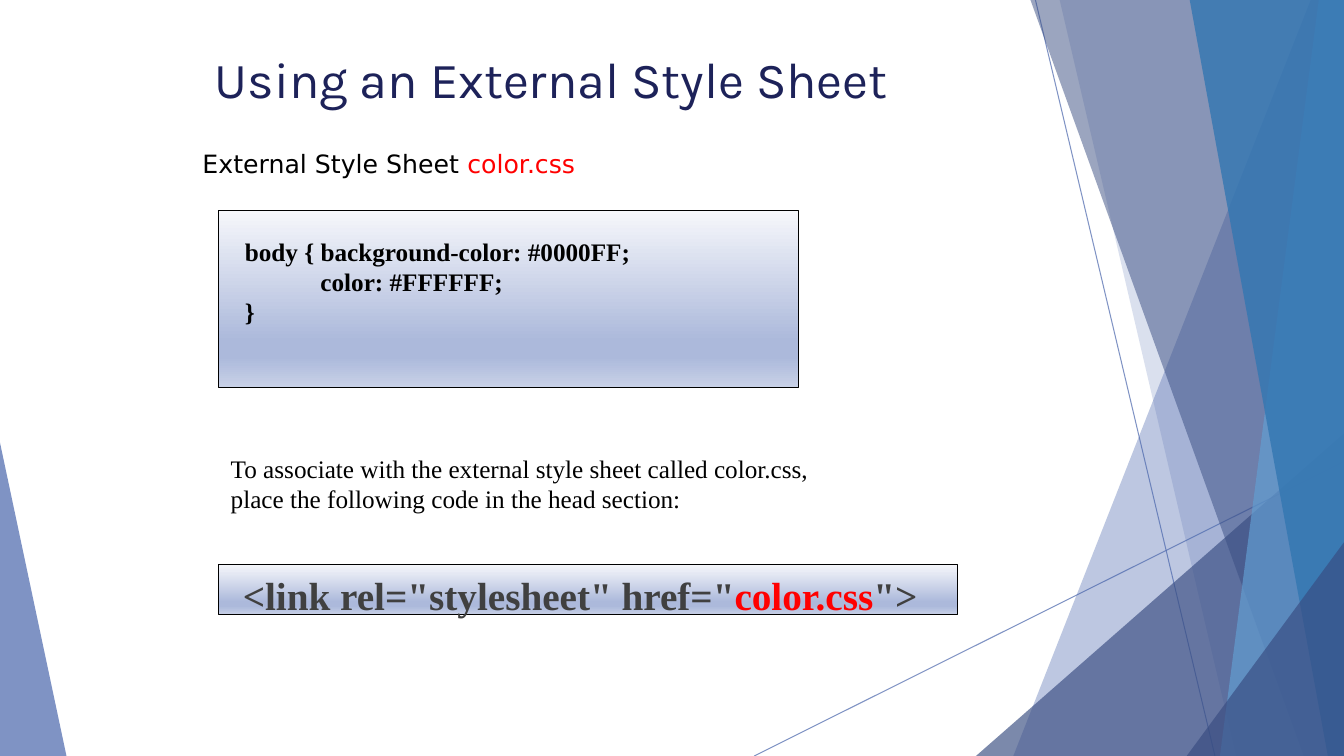
from lxml.etree import SubElement
from pptx import Presentation
from pptx.dml.color import RGBColor
from pptx.enum.shapes import MSO_CONNECTOR as Connector, MSO_SHAPE as Preset
from pptx.enum.text import MSO_ANCHOR as Anchor, MSO_AUTO_SIZE as AutoSize, PP_ALIGN as Align
from pptx.oxml.ns import qn
from pptx.util import Pt

EMU_PER_PX = 9144
WIDTH, HEIGHT = 1333, 750
SERIF = "Times New Roman"
BLUE, NAVY, SKY, AZURE = "4A66AC", "384C81", "629DD1", "3477B2"
BLACK, GREY, RED, TITLE_COLOR = "000000", "404040", "FF0000", "1D2259"
PANEL_STOPS = [(0, "F6F7FB"), (74, "ACB9DB"), (83, "ACB9DB"), (100, "C8D1E7")]


def px(*lengths):
    return [length * EMU_PER_PX for length in lengths]


def color(hex_text):
    return RGBColor.from_string(hex_text)


def set_opacity(element, percent):
    for node in element.iter(qn("a:srgbClr")):
        SubElement(node, qn("a:alpha"), val=str(percent * 1000))


def write_text(frame, lines, *, size, font, fill=BLACK, bold=False, indents=(),
               anchor=Anchor.TOP):
    """Each line is a list of (text, colour or None) runs; "\\n" breaks the line."""
    frame.word_wrap = True
    frame.auto_size = AutoSize.NONE
    frame.vertical_anchor = anchor
    for index, runs in enumerate(lines):
        paragraph = frame.paragraphs[0] if index == 0 else frame.add_paragraph()
        paragraph.alignment = Align.LEFT
        if index < len(indents):
            properties = paragraph._p.get_or_add_pPr()
            properties.set("marL", str(indents[index] * EMU_PER_PX))
        for text, run_color in runs:
            if text == "\n":
                paragraph.add_line_break()
                continue
            run = paragraph.add_run()
            run.text = text
            run.font.size = Pt(size)
            run.font.name = font
            run.font.bold = bold
            run.font.color.rgb = color(run_color or fill)


class SlideBuilder:
    def __init__(self, slide):
        self.slide = slide
        self.shapes = slide.shapes
        self.line_width = Pt(0.75)

    def title(self, text, box, **style):
        shape = self.shapes.title
        shape.left, shape.top, shape.width, shape.height = px(*box)
        write_text(shape.text_frame, [[(text, None)]], **style)

    def facet(self, points, fill, opacity):
        builder = self.shapes.build_freeform(*points[0], scale=EMU_PER_PX)
        builder.add_line_segments(points[1:], close=True)
        shape = builder.convert_to_shape()
        shape.shadow.inherit = False
        shape.fill.solid()
        shape.fill.fore_color.rgb = color(fill)
        set_opacity(shape.fill._xPr, opacity)
        shape.line.fill.background()

    def line(self, start, end, stroke, opacity):
        connector = self.shapes.add_connector(Connector.STRAIGHT, *px(*start, *end))
        connector.line.color.rgb = color(stroke)
        connector.line.width = self.line_width
        properties = connector._element.spPr
        set_opacity(properties, opacity)
        SubElement(properties, qn("a:effectLst"))

    def panel(self, box):
        shape = self.shapes.add_shape(Preset.RECTANGLE, *px(*box))
        shape.shadow.inherit = False
        shape.fill.gradient()
        shape.fill.gradient_angle = 270
        stops = shape._element.spPr.find(".//" + qn("a:gsLst"))
        for stop in list(stops):
            stops.remove(stop)
        for position, stop_color in PANEL_STOPS:
            stop = SubElement(stops, qn("a:gs"), pos=str(position * 1000))
            SubElement(stop, qn("a:srgbClr"), val=stop_color)
        shape.line.color.rgb = color(BLACK)
        shape.line.width = self.line_width

    def text(self, lines, box, **style):
        shape = self.shapes.add_textbox(*px(*box))
        write_text(shape.text_frame, lines, **style)


def main():
    presentation = Presentation()
    presentation.slide_width, presentation.slide_height = px(WIDTH, HEIGHT)
    page = SlideBuilder(presentation.slides.add_slide(presentation.slide_layouts[5]))

    # Background facets and thin lines
    top_right, bottom_right = (WIDTH, 0), (WIDTH, HEIGHT)
    page.facet([(0, 439), (66, HEIGHT), (0, HEIGHT)], BLUE, 70)
    page.line((748, HEIGHT), (WIDTH, 458), BLUE, 70)
    page.line((1027, 0), (1205, HEIGHT), BLUE, 70)
    for left_edge, fill, opacity in [
        ([(1300, 0), (1005, HEIGHT)], BLUE, 36),
        ([(1051, 0), (1226, HEIGHT)], BLUE, 20),
        ([(968, HEIGHT), (WIDTH, 430)], NAVY, 66),
        ([(1022, 0), (1293, HEIGHT)], NAVY, 50),
        ([(1308, 0), (1210, HEIGHT)], SKY, 70),
        ([(1180, 0), (1317, HEIGHT)], AZURE, 82),
        ([(1177, HEIGHT), (WIDTH, 538)], NAVY, 66),
    ]:
        full_height = left_edge[0][1] == 0
        right_edge = [bottom_right, top_right] if full_height else [bottom_right]
        page.facet(left_edge + right_edge, fill, opacity)

    # Title and file name
    page.title("Using an External Style Sheet", (203, 43, 694, 144),
               size=36, font="Karla", fill=TITLE_COLOR)
    page.text([[("External Style Sheet ", None), ("color.css", RED)]],
              (191, 142, 395, 40), size=18, font="DejaVu Sans")

    # Style sheet code
    page.panel((217, 209, 575, 175))
    page.text([[("body { background-color: #0000FF;", None)],
               [("color: #FFFFFF;", None)],
               [("}", None)]],
              (233, 229, 535, 131), size=18, font=SERIF, bold=True, indents=(0, 75, 0))

    # Instruction
    page.text([[("To associate with the external style sheet called color.css, ", None),
                ("\n", None),
                ("place the following code in the head section:", None)]],
              (219, 445, 822, 91), size=18, font=SERIF)

    # Link element
    page.panel((217, 560, 733, 50))
    page.text([[('<link rel="stylesheet" href="', None), ("color.css", RED), ('">', None)]],
              (231, 559, 942, 62), size=28, font=SERIF, fill=GREY, bold=True,
              anchor=Anchor.MIDDLE)

    presentation.save("out.pptx")


if __name__ == "__main__":
    main()
